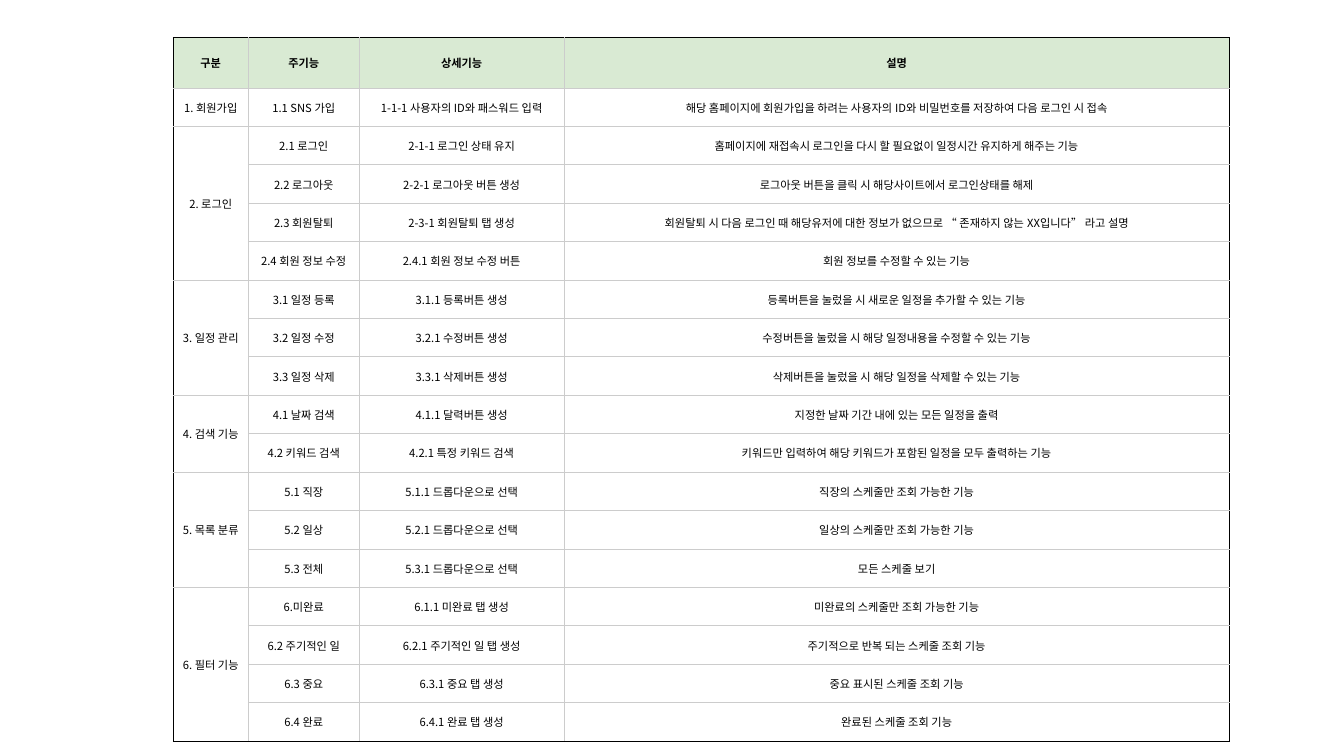
from lxml import etree
from pptx import Presentation
from pptx.dml.color import RGBColor
from pptx.enum.text import MSO_ANCHOR, PP_ALIGN
from pptx.oxml.ns import qn
from pptx.util import Pt

CENTER, MIDDLE = PP_ALIGN.CENTER, MSO_ANCHOR.MIDDLE
FONT = "Noto Sans CJK KR"
COLORS = {"text": "000000", "frame": "000000", "grid": "CCCCCC", "head": "D9EAD3"}

# Content: header, then each group with its feature rows
HEAD = ("구분", "주기능", "상세기능", "설명")
GROUPS = [
    ("1. 회원가입", [
        ("1.1 SNS 가입", "1-1-1 사용자의 ID와 패스워드 입력",
         "해당 홈페이지에 회원가입을 하려는 사용자의 ID와 비밀번호를 저장하여 다음 로그인 시 접속"),
    ]),
    ("2. 로그인", [
        ("2.1 로그인", "2-1-1 로그인 상태 유지",
         "홈페이지에 재접속시 로그인을 다시 할 필요없이 일정시간 유지하게 해주는 기능"),
        ("2.2 로그아웃", "2-2-1 로그아웃 버튼 생성",
         "로그아웃 버튼을 클릭 시 해당사이트에서 로그인상태를 해제"),
        ("2.3 회원탈퇴", "2-3-1 회원탈퇴 탭 생성",
         "회원탈퇴 시 다음 로그인 때 해당유저에 대한 정보가 없으므로 “ 존재하지 않는 XX입니다” 라고 설명"),
        ("2.4 회원 정보 수정", "2.4.1 회원 정보 수정 버튼", "회원 정보를 수정할 수 있는 기능"),
    ]),
    ("3. 일정 관리", [
        ("3.1 일정 등록", "3.1.1 등록버튼 생성", "등록버튼을 눌렀을 시 새로운 일정을 추가할 수 있는 기능"),
        ("3.2 일정 수정", "3.2.1 수정버튼 생성", "수정버튼을 눌렀을 시 해당 일정내용을 수정할 수 있는 기능"),
        ("3.3 일정 삭제", "3.3.1 삭제버튼 생성", "삭제버튼을 눌렀을 시 해당 일정을 삭제할 수 있는 기능"),
    ]),
    ("4. 검색 기능", [
        ("4.1 날짜 검색", "4.1.1 달력버튼 생성", "지정한 날짜 기간 내에 있는 모든 일정을 출력"),
        ("4.2 키워드 검색", "4.2.1 특정 키워드 검색",
         "키워드만 입력하여 해당 키워드가 포함된 일정을 모두 출력하는 기능"),
    ]),
    ("5. 목록 분류", [
        ("5.1 직장", "5.1.1 드롭다운으로 선택", "직장의 스케줄만 조회 가능한 기능"),
        ("5.2 일상", "5.2.1 드롭다운으로 선택", "일상의 스케줄만 조회 가능한 기능"),
        ("5.3 전체", "5.3.1 드롭다운으로 선택", "모든 스케줄 보기"),
    ]),
    ("6. 필터 기능", [
        ("6.미완료", "6.1.1 미완료 탭 생성", "미완료의 스케줄만 조회 가능한 기능"),
        ("6.2 주기적인 일", "6.2.1 주기적인 일 탭 생성", "주기적으로 반복 되는 스케줄 조회 기능"),
        ("6.3 중요", "6.3.1 중요 탭 생성", "중요 표시된 스케줄 조회 기능"),
        ("6.4 완료", "6.4.1 완료 탭 생성", "완료된 스케줄 조회 기능"),
    ]),
]

# Layout in points
LEFT, TOP = 123.8, 26.8
WIDTHS = (53.6, 79.3, 146.3, 475.2)
HEAD_H, ROW_H = 36.1, 27.46


def set_border(cell, side, color):
    line = etree.SubElement(cell._tc.get_or_add_tcPr(), qn("a:ln" + side), w=str(Pt(0.75)))
    fill = etree.SubElement(line, qn("a:solidFill"))
    etree.SubElement(fill, qn("a:srgbClr"), val=color)


def style_cell(cell, outer, head):
    for side in "LRTB":
        set_border(cell, side, COLORS["frame" if side in outer else "grid"])
    if head:
        cell.fill.solid()
        cell.fill.fore_color.rgb = RGBColor.from_string(COLORS["head"])
    else:
        cell.fill.background()
    cell.vertical_anchor = MIDDLE
    cell.margin_left = cell.margin_right = Pt(1.5)
    cell.margin_top = cell.margin_bottom = Pt(0.75)
    para = cell.text_frame.paragraphs[0]
    para.alignment = CENTER
    para.font.size = Pt(8)
    for run in para.runs:
        font = run.font
        font.size, font.bold, font.name = Pt(8), head, FONT
        font.color.rgb = RGBColor.from_string(COLORS["text"])
        etree.SubElement(run._r.get_or_add_rPr(), qn("a:ea"), typeface=FONT)


def main():
    deck = Presentation()
    deck.slide_width, deck.slide_height = Pt(960), Pt(540)
    slide = deck.slides.add_slide(deck.slide_layouts[6])

    # Table frame
    count = 1 + sum(len(items) for _, items in GROUPS)
    height = HEAD_H + ROW_H * (count - 1)
    table = slide.shapes.add_table(count, len(HEAD), Pt(LEFT), Pt(TOP),
                                   Pt(sum(WIDTHS)), Pt(height)).table
    table.first_row = table.horz_banding = False
    for col, width in zip(table.columns, WIDTHS):
        col.width = Pt(width)
    for i, row in enumerate(table.rows):
        row.height = Pt(ROW_H if i else HEAD_H)

    # Text and merged groups
    for c, label in enumerate(HEAD):
        table.cell(0, c).text_frame.text = label
    top = 1
    ends = {}
    for name, items in GROUPS:
        last = top + len(items) - 1
        table.cell(top, 0).text_frame.text = name
        if last > top:
            table.cell(top, 0).merge(table.cell(last, 0))
        ends[top, 0] = last
        for r, item in enumerate(items, top):
            for c, text in enumerate(item, 1):
                table.cell(r, c).text_frame.text = text
        top = last + 1

    # Cell styling: black outer frame, grey inner grid
    for r in range(count):
        for c in range(len(HEAD)):
            edges = {"L": c == 0, "R": c == len(HEAD) - 1, "T": r == 0,
                     "B": ends.get((r, c), r) == count - 1}
            outer = [side for side, on in edges.items() if on]
            style_cell(table.cell(r, c), outer, r == 0)

    deck.save("out.pptx")


if __name__ == "__main__":
    main()
